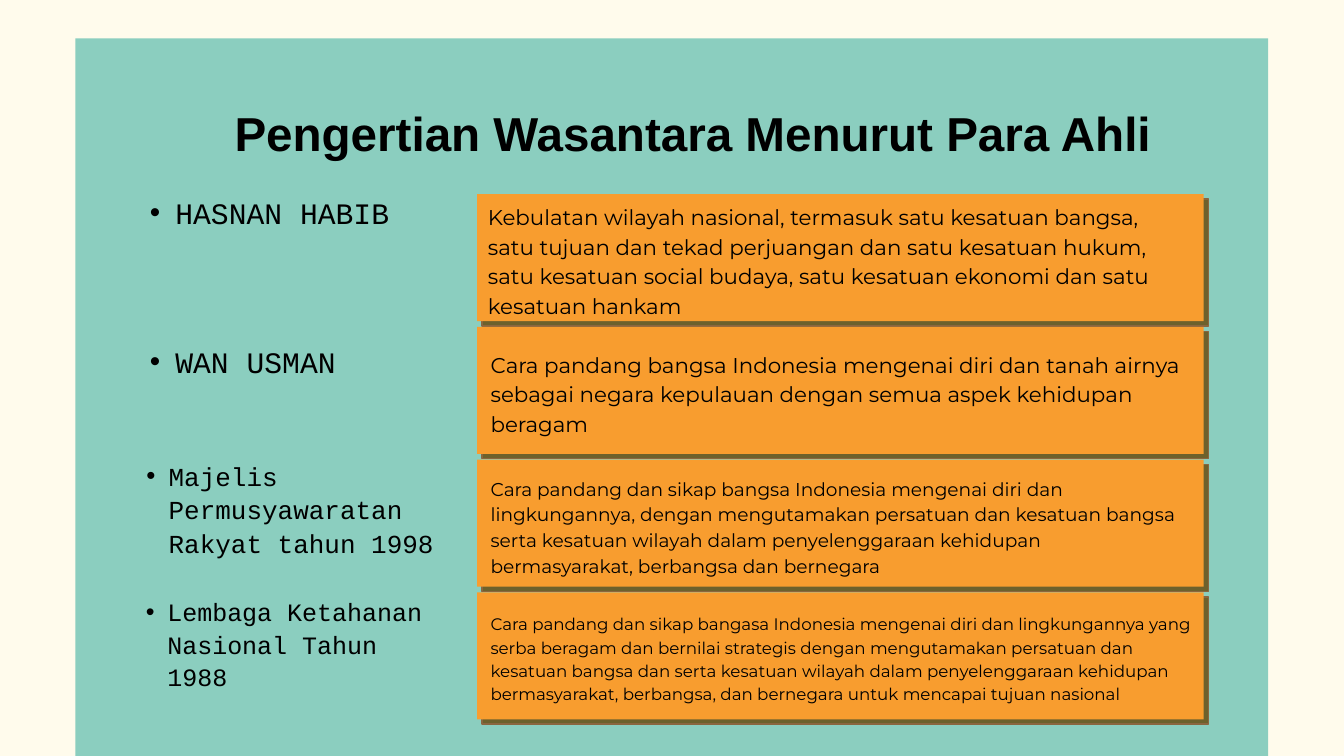
from lxml.etree import SubElement
from pptx import Presentation
from pptx.dml.color import RGBColor
from pptx.enum.shapes import MSO_SHAPE as Shape
from pptx.enum.text import MSO_AUTO_SIZE as AutoSize
from pptx.oxml.ns import qn
from pptx.util import Inches, Pt

CREAM = RGBColor(0xFF, 0xFB, 0xEC)
MINT = RGBColor(0x8B, 0xCE, 0xBF)
ORANGE = RGBColor(0xF8, 0x9D, 0x2F)
SHADE = RGBColor(0x6D, 0x61, 0x2C)
SHADE_EDGE = RGBColor(0x8A, 0x66, 0x3F)
BLACK = RGBColor(0, 0, 0)

CARD_LEFT, CARD_TOP, CARD_WIDTH, CARD_HEIGHT = 7.1, 2.89, 10.81, 1.89
CARD_STEP = 1.975
SHADE_OFFSET = 0.07

# Each expert: (name, its box, size, line pitch, indent),
# (definition, its box, size, line pitch)
EXPERTS = [
    (("HASNAN HABIB", (1.85, 2.85, 16.3, 0.55), 31.8, 41.4, 0.38),
     ("Kebulatan wilayah nasional, termasuk satu kesatuan bangsa, satu tujuan "
      "dan tekad perjuangan dan satu kesatuan hukum, satu kesatuan social "
      "budaya, satu kesatuan ekonomi dan satu kesatuan hankam",
      (7.26, 2.97, 10.32, 1.76), 22.9, 32)),
    (("WAN USMAN", (1.85, 5.07, 16.3, 0.55), 31.8, 41.4, 0.38),
     ("Cara pandang bangsa Indonesia mengenai diri dan tanah airnya sebagai "
      "negara kepulauan dengan semua aspek kehidupan beragam",
      (7.3, 5.17, 10.32, 1.31), 22.9, 32)),
    (("Majelis Permusyawaratan Rakyat tahun 1998",
      (1.85, 6.81, 5.62, 2.06), 27.8, 36.1, 0.33),
     ("Cara pandang dan sikap bangsa Indonesia mengenai diri dan "
      "lingkungannya, dengan mengutamakan persatuan dan kesatuan bangsa serta "
      "kesatuan wilayah dalam penyelenggaraan kehidupan bermasyarakat, "
      "berbangsa dan bernegara",
      (7.3, 7.05, 10.32, 1.52), 19.9, 27.8)),
    (("Lembaga Ketahanan Nasional Tahun 1988",
      (1.85, 8.84, 4.74, 1.43), 26.8, 34.9, 0.32),
     ("Cara pandang dan sikap bangasa Indonesia mengenai diri dan "
      "lingkungannya yang serba beragam dan bernilai strategis dengan "
      "mengutamakan persatuan dan kesatuan bangsa dan serta kesatuan wilayah "
      "dalam penyelenggaraan kehidupan bermasyarakat, berbangsa, dan bernegara "
      "untuk mencapai tujuan nasional",
      (7.3, 9.09, 10.6, 1.37), 17.9, 25)),
]


class SlideWriter:
    """Holds the text style and the slide being drawn."""

    frame_style = {"margin_left": 0, "margin_top": 0, "margin_right": 0,
                   "margin_bottom": 0, "word_wrap": True,
                   "auto_size": AutoSize.SHAPE_TO_FIT_TEXT}

    def __init__(self, page):
        self.page = page

    def background(self, color):
        fill = self.page.background.fill
        fill.solid()
        fill.fore_color.rgb = color

    def rectangle(self, area, color, edge=None, parent=None):
        shapes = (parent or self.page).shapes
        box = shapes.add_shape(Shape.RECTANGLE, *map(Inches, area))
        box.shadow.inherit = False
        box.fill.solid()
        box.fill.fore_color.rgb = color
        if edge is None:
            box.line.fill.background()
        else:
            box.line.color.rgb = edge
            box.line.width = Pt(1.5)

    def card(self, left, top, width, height):
        group = self.page.shapes.add_group_shape()
        shade = (left + SHADE_OFFSET, top + SHADE_OFFSET, width, height)
        self.rectangle(shade, SHADE, SHADE_EDGE, group)
        self.rectangle((left, top, width, height), ORANGE, parent=group)

    def text(self, words, area, size, pitch, face="Montserrat", bold=False,
             indent=None):
        box = self.page.shapes.add_textbox(*map(Inches, area))
        for name, value in self.frame_style.items():
            setattr(box.text_frame, name, value)
        para = box.text_frame.paragraphs[0]
        if indent:
            self.bullet(para, indent)
        para.line_spacing = Pt(pitch)
        span = para.add_run()
        span.text = words
        font_style = {"name": face, "size": Pt(size), "bold": bold}
        for name, value in font_style.items():
            setattr(span.font, name, value)
        span.font.color.rgb = BLACK

    def bullet(self, para, indent):
        para.level = 1
        props = para._p.get_or_add_pPr()
        props.set("marL", str(Inches(2 * indent)))
        props.set("indent", str(-Inches(indent)))
        SubElement(props, qn("a:buFont")).set("typeface", "Arial")
        SubElement(props, qn("a:buChar")).set("char", "•")


def main():
    deck = Presentation()
    deck.slide_width, deck.slide_height = Inches(20), Inches(11.25)
    writer = SlideWriter(deck.slides.add_slide(deck.slide_layouts[6]))

    # Backdrop and title
    writer.background(CREAM)
    writer.rectangle((1.12, 0.57, 17.75, 10.68), MINT)
    writer.text("Pengertian Wasantara Menurut Para Ahli",
                (3.49, 1.55, 17.87, 0.86), 51, 61.2, "Arial", bold=True)

    # Cards, stacked at an even step
    for row in range(len(EXPERTS)):
        writer.card(CARD_LEFT, CARD_TOP + row * CARD_STEP,
                    CARD_WIDTH, CARD_HEIGHT)

    # Experts and their definitions
    for (*name, indent), definition in EXPERTS:
        writer.text(*name, face="Courier New", indent=indent)
        writer.text(*definition)

    deck.save("out.pptx")


if __name__ == "__main__":
    main()
